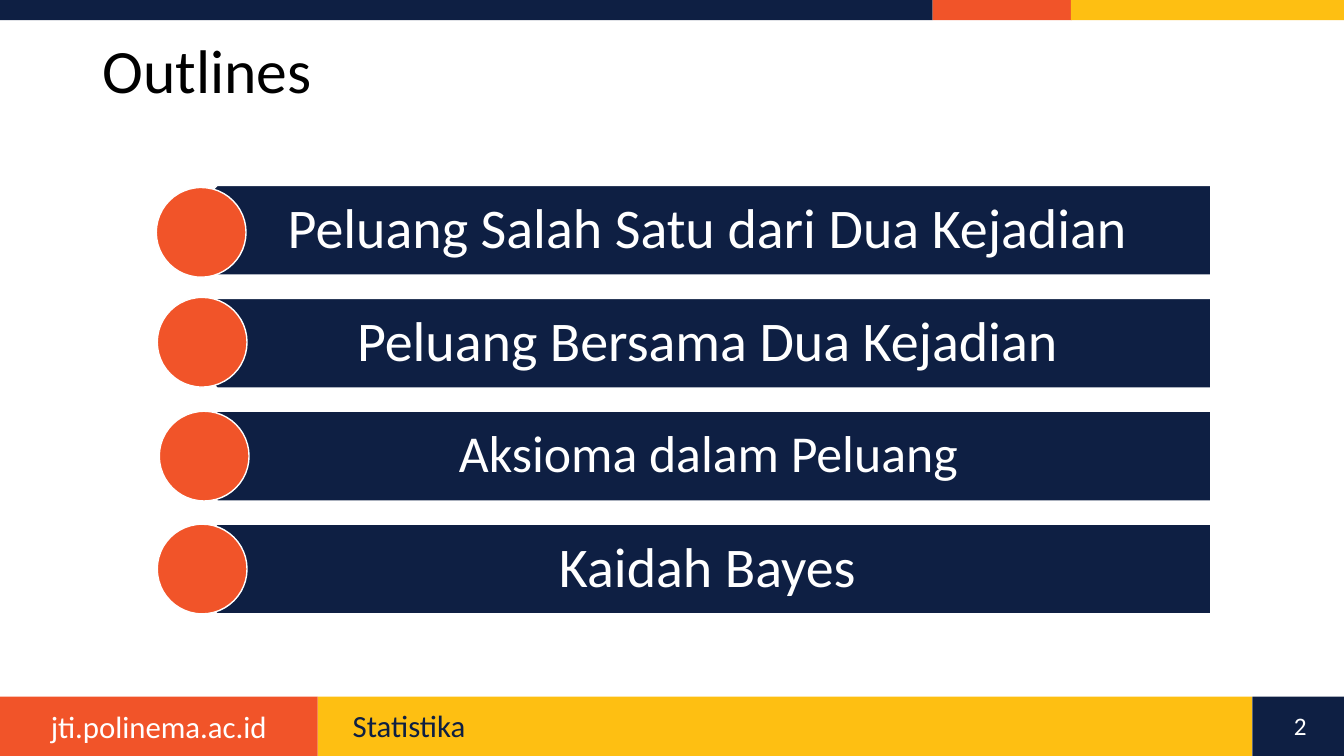
from dataclasses import dataclass

from pptx import Presentation
from pptx import util as u
from pptx.dml.color import RGBColor
from pptx.enum import shapes, text

NAVY = RGBColor(0x0E, 0x1F, 0x43)
ORANGE = RGBColor(0xF1, 0x54, 0x29)
YELLOW = RGBColor(0xFE, 0xBF, 0x12)
WHITE = RGBColor(0xFF, 0xFF, 0xFF)
BLACK = RGBColor(0, 0, 0)

FONT = "Calibri"
TOPIC_TOP, TOPIC_PITCH, TOPIC_HEIGHT = 1.84, 1.12, 0.89
TOPIC_RIGHT = 12.01


@dataclass
class Box:
    left: float
    top: float
    width: float
    height: float

    def lengths(self) -> list[int]:
        return [u.Inches(v) for v in (self.left, self.top, self.width, self.height)]


@dataclass
class Band:
    box: Box
    color: RGBColor


@dataclass
class Label:
    wording: str
    box: Box
    size: float
    color: RGBColor
    align: text.PP_ALIGN = text.PP_ALIGN.LEFT
    anchor: text.MSO_ANCHOR = text.MSO_ANCHOR.TOP
    spacing: float = 1.0
    insets: tuple[float, float, float, float] = (0.1, 0.05, 0.1, 0.05)


@dataclass
class Topic:
    wording: str
    dot_left: float
    dot_top: float
    size: float = 40
    insets: tuple[float, float, float, float] = (0.39, 0.17, 0.31, 0.17)


BANDS = [
    Band(Box(0, 0, 9.25, 0.2), NAVY),
    Band(Box(9.25, 0, 1.38, 0.2), ORANGE),
    Band(Box(10.62, 0, 2.71, 0.2), YELLOW),
    Band(Box(3.15, 6.91, 9.27, 0.59), YELLOW),
    Band(Box(0, 6.91, 3.15, 0.59), ORANGE),
    Band(Box(12.42, 6.91, 0.92, 0.59), NAVY),
]

LABELS = [
    Label("jti.polinema.ac.id", Box(0, 6.97, 3.15, 0.47), 22, WHITE,
          text.PP_ALIGN.CENTER),
    Label("Statistika", Box(3.4, 7, 8.74, 0.4), 22, NAVY, spacing=0.9),
    Label("Outlines", Box(0.92, 0.4, 10.24, 0.66), 44, BLACK,
          anchor=text.MSO_ANCHOR.MIDDLE, spacing=0.9),
    Label("2", Box(12.59, 7, 0.61, 0.4), 18, WHITE, text.PP_ALIGN.CENTER),
]

TOPICS = [
    Topic("Peluang Salah Satu dari Dua Kejadian", 1.55, 1.86),
    Topic("Peluang Bersama Dua Kejadian", 1.56, 2.95),
    Topic("Aksioma dalam Peluang", 1.58, 4.08, 37, (0.39, 0.15, 0.29, 0.15)),
    Topic("Kaidah Bayes", 1.56, 5.2),
]


def add_filled(slide, kind: shapes.MSO_SHAPE, box: Box, color: RGBColor,
               outlined: bool = False):
    filled = slide.shapes.add_shape(kind, *box.lengths())
    filled.shadow.inherit = False
    filled.fill.solid()
    filled.fill.fore_color.rgb = color
    if outlined:
        filled.line.color.rgb = WHITE
        filled.line.width = u.Pt(1)
    else:
        filled.line.fill.background()
    return filled


def add_label(slide, label: Label) -> None:
    frame = slide.shapes.add_textbox(*label.box.lengths()).text_frame
    frame.word_wrap = True
    frame.vertical_anchor = label.anchor
    (frame.margin_left, frame.margin_top,
     frame.margin_right, frame.margin_bottom) = map(u.Inches, label.insets)
    paragraph = frame.paragraphs[0]
    paragraph.alignment = label.align
    paragraph.line_spacing = label.spacing
    run = paragraph.add_run()
    run.text = label.wording
    run.font.name = FONT
    run.font.size = u.Pt(label.size)
    run.font.color.rgb = label.color


def add_topic(slide, topic: Topic, top: float) -> None:
    """Draw a left-pointing bar, its wording and the dot over its tip."""
    bar_left, wording_left = 1.71, 1.94
    bar = add_filled(slide, shapes.MSO_SHAPE.PENTAGON,
                     Box(bar_left, top, TOPIC_RIGHT - bar_left, TOPIC_HEIGHT),
                     NAVY, outlined=True)
    bar.rotation = 180
    add_label(slide, Label(
        topic.wording,
        Box(wording_left, top, TOPIC_RIGHT - wording_left, TOPIC_HEIGHT),
        topic.size, WHITE, text.PP_ALIGN.CENTER, text.MSO_ANCHOR.MIDDLE,
        0.9, topic.insets))
    add_filled(slide, shapes.MSO_SHAPE.OVAL,
               Box(topic.dot_left, topic.dot_top, TOPIC_HEIGHT, TOPIC_HEIGHT),
               ORANGE, outlined=True)


def main() -> None:
    deck = Presentation()
    deck.slide_width, deck.slide_height = u.Inches(13.33), u.Inches(7.5)
    slide = deck.slides.add_slide(deck.slide_layouts[6])
    for band in BANDS:
        add_filled(slide, shapes.MSO_SHAPE.RECTANGLE, band.box, band.color)
    for label in LABELS:
        add_label(slide, label)
    for row, topic in enumerate(TOPICS):
        add_topic(slide, topic, TOPIC_TOP + row * TOPIC_PITCH)
    deck.save("out.pptx")


if __name__ == "__main__":
    main()
